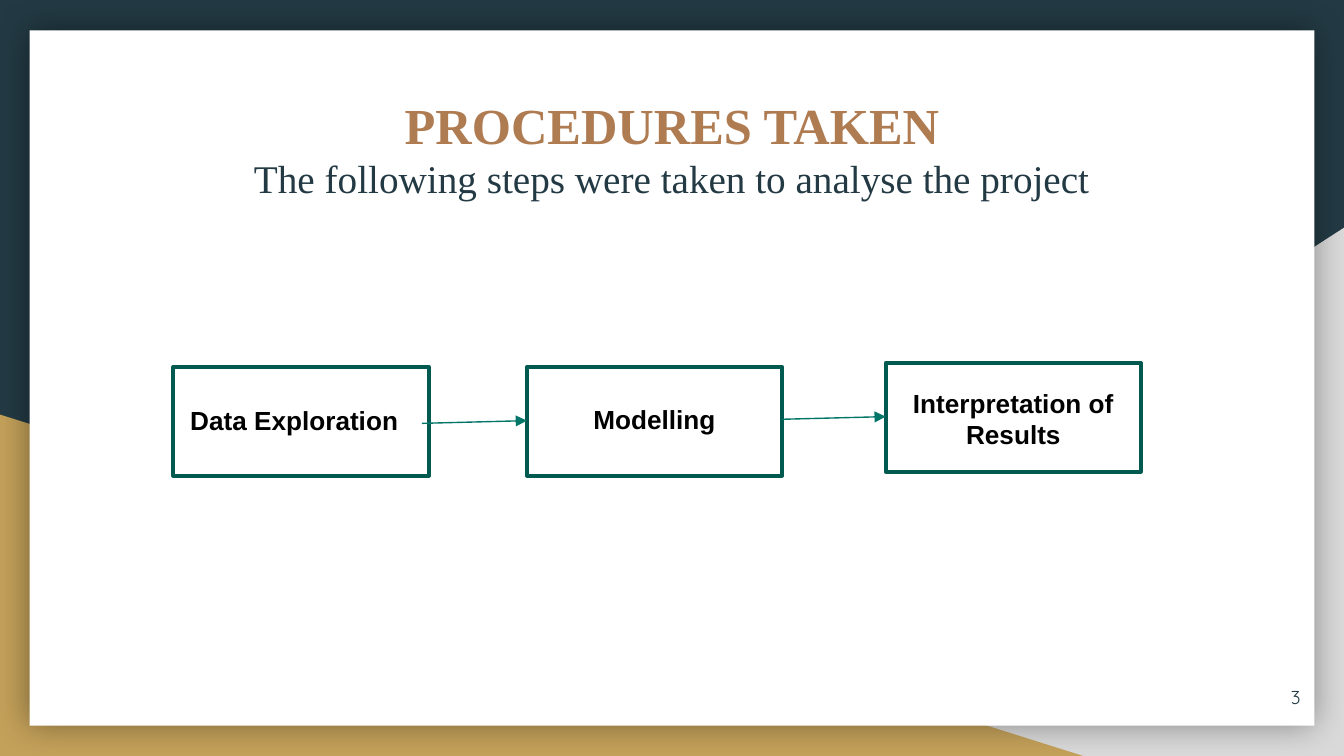
from itertools import pairwise

from lxml.etree import SubElement
from pptx import Presentation
from pptx.dml.color import RGBColor
from pptx.enum.shapes import MSO_CONNECTOR as Link, MSO_SHAPE as Preset
from pptx.enum.text import MSO_ANCHOR as Anchor, MSO_AUTO_SIZE as AutoSize, PP_ALIGN as Align
from pptx.oxml.ns import qn
from pptx.util import Inches, Pt

CELL = Inches(0.1)
COLUMNS, ROWS = 100, 56.25
NAVY, GOLD, GREY, WHITE = "233A44", "C4A15A", "D9D9D9", "FFFFFF"
BRONZE, GREEN, TEAL, BLACK = "AF7B51", "005A4F", "007669", "000000"


def paint(target, colour):
    if hasattr(target, "solid"):
        target.solid()
        target = target.fore_color
    target.rgb = RGBColor.from_string(colour)


def grid(*cells):
    return [round(cell * CELL) for cell in cells]


def style(paragraph, font, size, colour, bold=False, align=Align.CENTER):
    paragraph.alignment = align
    for run in paragraph.runs:
        run.font.name, run.font.size, run.font.bold = font, Pt(size), bold
        paint(run.font.color, colour)


def add_panel(slide, preset, box, colour):
    panel = slide.shapes.add_shape(preset, *grid(*box))
    panel.shadow.inherit = False
    paint(panel.fill, colour)
    panel.line.fill.background()
    return panel


def add_backdrop(slide, width, height):
    paint(slide.background.fill, NAVY)
    corner = add_panel(slide, Preset.RIGHT_TRIANGLE,
                       (39.2, height - 39.3, width - 39.2, 39.3), GREY)
    corner._element.spPr.find(qn("a:xfrm")).set("flipH", "1")
    add_panel(slide, Preset.RIGHT_TRIANGLE, (0, height - 25.4, 80.6, 25.4), GOLD)
    card = add_panel(slide, Preset.RECTANGLE,
                     (2.2, 2.25, width - 4.4, height - 4.5), WHITE)
    effects = card._element.spPr.find(qn("a:effectLst"))
    glow = SubElement(effects, qn("a:outerShdw"), blurRad=str(Pt(18)), dist="0",
                      algn="ctr", rotWithShape="0")
    shade = SubElement(glow, qn("a:srgbClr"), val=BLACK)
    SubElement(shade, qn("a:alpha"), val="40000")


def set_insets(frame):
    frame.margin_left = frame.margin_right = CELL
    frame.margin_top = frame.margin_bottom = CELL
    frame.word_wrap = True


def add_heading(slide, box):
    heading = slide.shapes.title
    heading.left, heading.top, heading.width, heading.height = grid(*box)
    frame = heading.text_frame
    frame.text = "PROCEDURES TAKEN\nThe following steps were taken to analyse the project"
    frame.auto_size = AutoSize.NONE
    frame.vertical_anchor = Anchor.TOP
    set_insets(frame)
    title, subtitle = frame.paragraphs
    style(title, "Times New Roman", 27, BRONZE, bold=True)
    style(subtitle, "Times New Roman", 21, NAVY)
    for line in (title, subtitle):
        line.line_spacing = 1.0
        line.space_before = Pt(0)


def add_page_number(slide, box, number):
    page = slide.shapes.add_textbox(*grid(*box))
    page.text_frame.text = number
    page.text_frame.vertical_anchor = Anchor.MIDDLE
    set_insets(page.text_frame)
    style(page.text_frame.paragraphs[0], "Quicksand", 10, NAVY, align=Align.RIGHT)


def add_step(slide, box, text, label_shift, label_height):
    left, top, width, height = box
    frame = slide.shapes.add_shape(Preset.RECTANGLE, *grid(*box))
    frame.shadow.inherit = False
    frame.fill.background()
    paint(frame.line.fill, GREEN)
    frame.line.width = Pt(2)
    across, down = label_shift
    label = slide.shapes.add_textbox(*grid(left + across, top + down, width, label_height))
    label.text_frame.word_wrap = True
    label.text_frame.auto_size = AutoSize.SHAPE_TO_FIT_TEXT
    label.text_frame.text = text
    style(label.text_frame.paragraphs[0], "Arial", 14, BLACK, bold=True)


def add_arrow(slide, start, end):
    arrow = slide.shapes.add_connector(Link.STRAIGHT, *grid(*start, *end))
    paint(arrow.line.fill, TEAL)
    arrow.line.width = Pt(0.75)
    SubElement(arrow.line._get_or_add_ln(), qn("a:tailEnd"), type="triangle")
    SubElement(arrow._element.spPr, qn("a:effectLst"))


def add_flow(slide, box):
    left, top, width, height = box
    step_width, step_height = width - 53, height - 0.3
    steps = [
        ("Data Exploration", 0, 0.3, (-0.5, 2.3), 3.4, -0.5),
        ("Modelling", 26.3, 0.3, (0, 2.2), 3.4, 0),
        ("Interpretation of Results", 53, 0, (0, 1.3), 5.7, 0),
    ]
    for text, across, down, shift, tall, _ in steps:
        add_step(slide, (left + across, top + down, step_width, step_height),
                 text, shift, tall)
    middle = top + step_height / 2
    for number, (source, target) in enumerate(pairwise(steps)):
        start = left + source[1] + step_width + source[5]
        level = middle + 0.45 - 0.3 * number
        add_arrow(slide, (start, level), (left + target[1], level - 0.2))


def main():
    deck = Presentation()
    deck.slide_width, deck.slide_height = grid(COLUMNS, ROWS)
    slide = deck.slides.add_slide(deck.slide_layouts[5])
    add_backdrop(slide, COLUMNS, ROWS)
    tree = slide.shapes.title._element.getparent()
    tree.append(slide.shapes.title._element)
    add_heading(slide, (8.95, 6, 82.1, 10.4))
    add_page_number(slide, (91.75, 49.75, 6, 4.3), "3")
    add_flow(slide, (12.9, 27, 72, 8.4))
    deck.save("out.pptx")


if __name__ == "__main__":
    main()
